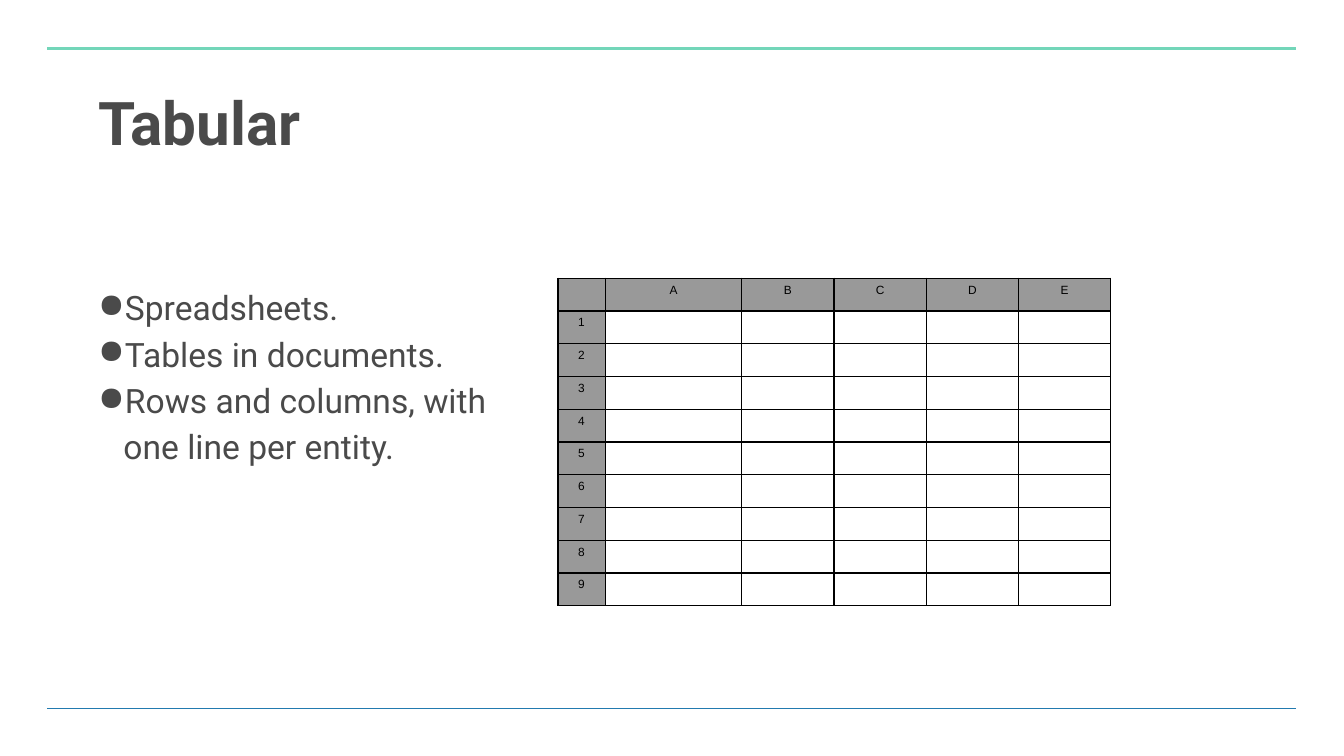
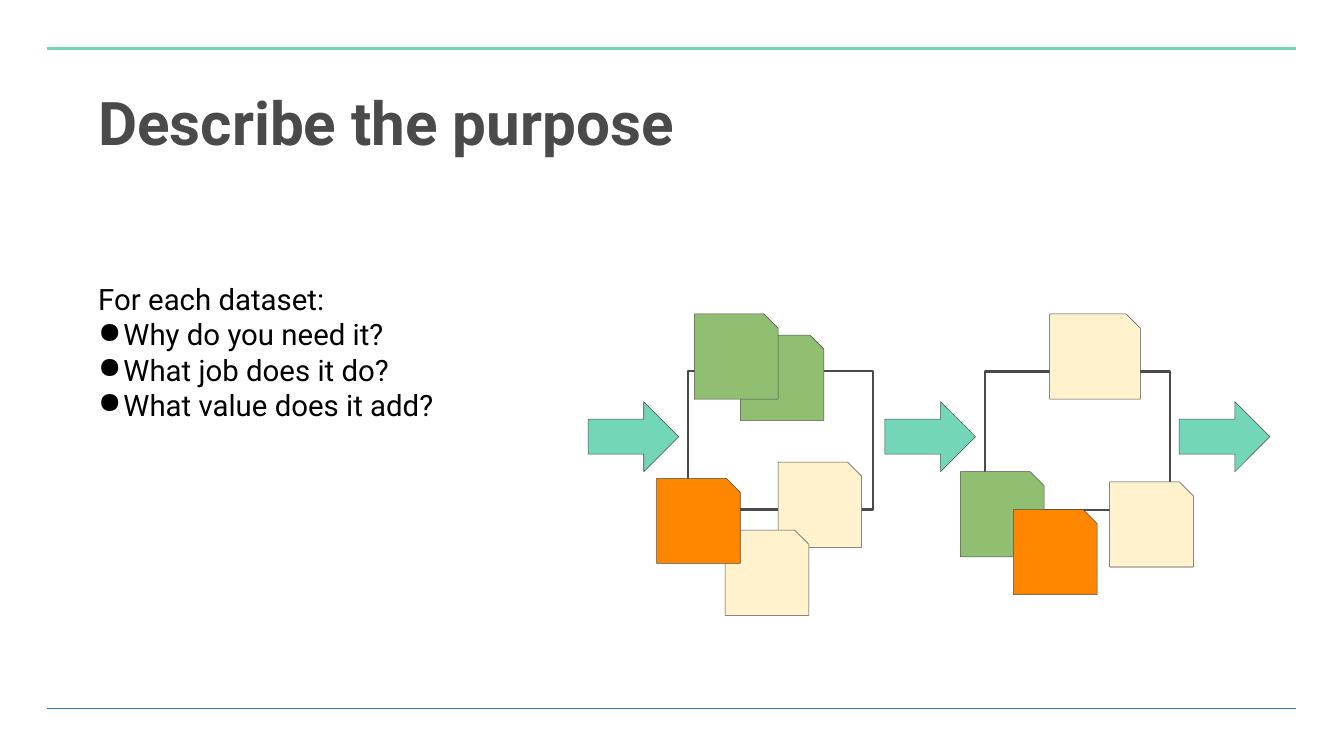
from lxml.etree import SubElement as Sub
from pptx import Presentation
from pptx.dml.color import RGBColor
from pptx.enum.shapes import MSO_CONNECTOR as Wire, MSO_SHAPE as Kind
from pptx.enum.text import MSO_ANCHOR as Anchor, PP_ALIGN as Align
from pptx.oxml.ns import qn
from pptx.util import Inches, Pt

GREY = RGBColor(0x4A, 0x4A, 0x4A)
EDGE = RGBColor(0x4A, 0x4A, 0x4B)
BLACK = RGBColor(0, 0, 0)
HEAD = RGBColor(0x99, 0x99, 0x99)
MINT = RGBColor(0x73, 0xD6, 0xB9)
BLUE = RGBColor(0x22, 0x7A, 0xAF)
CREAM = RGBColor(0xFF, 0xF2, 0xCC)
GREEN = RGBColor(0x90, 0xBF, 0x72)
ORANGE = RGBColor(0xFF, 0x87, 0x00)

RULES = [(0.97, MINT, 4), (14.06, BLUE, 1)]
TITLE = {"name": "Roboto", "size": Pt(86), "bold": True}
LIST = {"name": "Roboto", "size": Pt(48)}
ASK = {"name": "Roboto", "size": Pt(42)}
CELL = {"name": "Arial", "size": Pt(17)}
SIDES = ("left", "top", "right", "bottom")
FRAME = {"word_wrap": True, "vertical_anchor": Anchor.TOP}
FRAME.update({f"margin_{side}": Inches(0.06) for side in SIDES})
PAD = {f"margin_{side}": Inches(0.1) for side in SIDES}

BOXES = [(19.54, 7.37), (13.66, 7.36)]
ARROWS = [11.67, 23.4, 17.56]
NOTES = [
    (15.44, 9.17, CREAM), (14.39, 10.52, CREAM), (22.02, 9.56, CREAM),
    (19.06, 9.36, GREEN), (14.69, 6.65, GREEN), (13.78, 6.23, GREEN),
    (20.11, 10.11, ORANGE), (13.03, 9.49, ORANGE),
]


def put(item, style):
    for key, value in style.items():
        setattr(item, key, value)


def place(*sizes):
    return [Inches(size) for size in sizes]


def write(para, words, style, color):
    run = para.add_run()
    run.text = words
    put(run.font, style)
    run.font.color.rgb = color


def dot(para, hang, color):
    props = para._p.get_or_add_pPr()
    props.set("marL", str(Inches(0.5)))
    props.set("indent", str(-Inches(hang)))
    tint = Sub(props, qn("a:buClr"))
    Sub(tint, qn("a:srgbClr"), val=str(color))
    Sub(props, qn("a:buChar"), char="●")


def text(slide, spot, lines, style, color, space=1.0, hang=0.54, top=0.06):
    frame = slide.shapes.add_textbox(*place(*spot)).text_frame
    put(frame, {**FRAME, "margin_top": Inches(top)})
    for i, (words, mark) in enumerate(lines):
        para = frame.add_paragraph() if i else frame.paragraphs[0]
        if mark:
            dot(para, hang, color)
        para.line_spacing = space
        write(para, words, style, color)


def rule(slide, y, color, width):
    line = slide.shapes.add_connector(
        Wire.STRAIGHT, *place(0.94, y, 25.72, y))
    line.line.color.rgb = color
    line.line.width = Pt(width)
    Sub(line._element.spPr, qn("a:effectLst"))


def start(deck, title):
    slide = deck.slides.add_slide(deck.slide_layouts[6])
    for y, color, width in RULES:
        rule(slide, y, color, width)
    text(slide, (1.89, 1.9, 22.89, 3.61), [(title, False)], TITLE, GREY, 0.8)
    return slide


def shape(slide, kind, spot, fill=None, width=0.75, cut=()):
    item = slide.shapes.add_shape(kind, *place(*spot))
    item.shadow.inherit = False
    for i, value in enumerate(cut):
        item.adjustments[i] = value
    if fill is None:
        item.fill.background()
    else:
        item.fill.solid()
        item.fill.fore_color.rgb = fill
    item.line.color.rgb = EDGE
    item.line.width = Pt(width)


def note(slide, x, y, fill, width=1.66):
    shape(slide, Kind.SNIP_1_RECTANGLE, (x, y, width, 1.69), fill,
          cut=[0.167])


def border(cell):
    props = cell._tc.get_or_add_tcPr()
    for i, tag in enumerate(("lnL", "lnR", "lnT", "lnB")):
        line = props.makeelement(qn(f"a:{tag}"), {"w": str(Pt(2.25))})
        fill = Sub(line, qn("a:solidFill"))
        Sub(fill, qn("a:srgbClr"), val=str(BLACK))
        props.insert(i, line)


def sheet(slide):
    names, wide = " ABCDE", [0.94, 2.71] + [1.83] * 4
    spot = place(11.07, 5.52, sum(wide), 6.5)
    grid = slide.shapes.add_table(10, len(wide), *spot).table
    put(grid, {"first_row": False, "horz_banding": False})
    for column, width in zip(grid.columns, wide):
        column.width = Inches(width)
    for r, row in enumerate(grid.rows):
        row.height = Inches(0.65)
        for c, cell in enumerate(row.cells):
            put(cell, PAD)
            if r and c:
                cell.fill.background()
            else:
                cell.fill.solid()
                cell.fill.fore_color.rgb = HEAD
                if r or c:
                    para = cell.text_frame.paragraphs[0]
                    para.alignment = Align.CENTER
                    write(para, str(r) if r else names[c], CELL, BLACK)
            border(cell)


def table_slide(deck):
    slide = start(deck, "Tabular")
    lines = [
        ("Spreadsheets.", True),
        ("Tables in documents.", True),
        ("Rows and columns, with one line per entity.", True),
    ]
    text(slide, (1.89, 3.68, 8.73, 9.75), lines, LIST, GREY,
         1.15, hang=0.58, top=1.9)
    sheet(slide)


def goal_slide(deck):
    slide = start(deck, "Describe the purpose")
    for x, y in BOXES:
        shape(slide, Kind.RECTANGLE, (x, y, 3.67, 2.75), width=3)
    lines = [
        ("For each dataset:", False),
        ("Why do you need it?", True),
        ("What job does it do?", True),
        ("What value does it add?", True),
    ]
    text(slide, (1.89, 5.52, 12.3, 7.92), lines, ASK, BLACK)
    note(slide, 20.83, 6.23, CREAM, 1.8)
    for x in ARROWS:
        shape(slide, Kind.RIGHT_ARROW, (x, 7.97, 1.8, 1.39), MINT)
    for x, y, fill in NOTES:
        note(slide, x, y, fill)


def main():
    deck = Presentation()
    put(deck, {"slide_width": Inches(26.67), "slide_height": Inches(15)})
    table_slide(deck)
    goal_slide(deck)
    deck.save("out.pptx")


if __name__ == "__main__":
    main()
